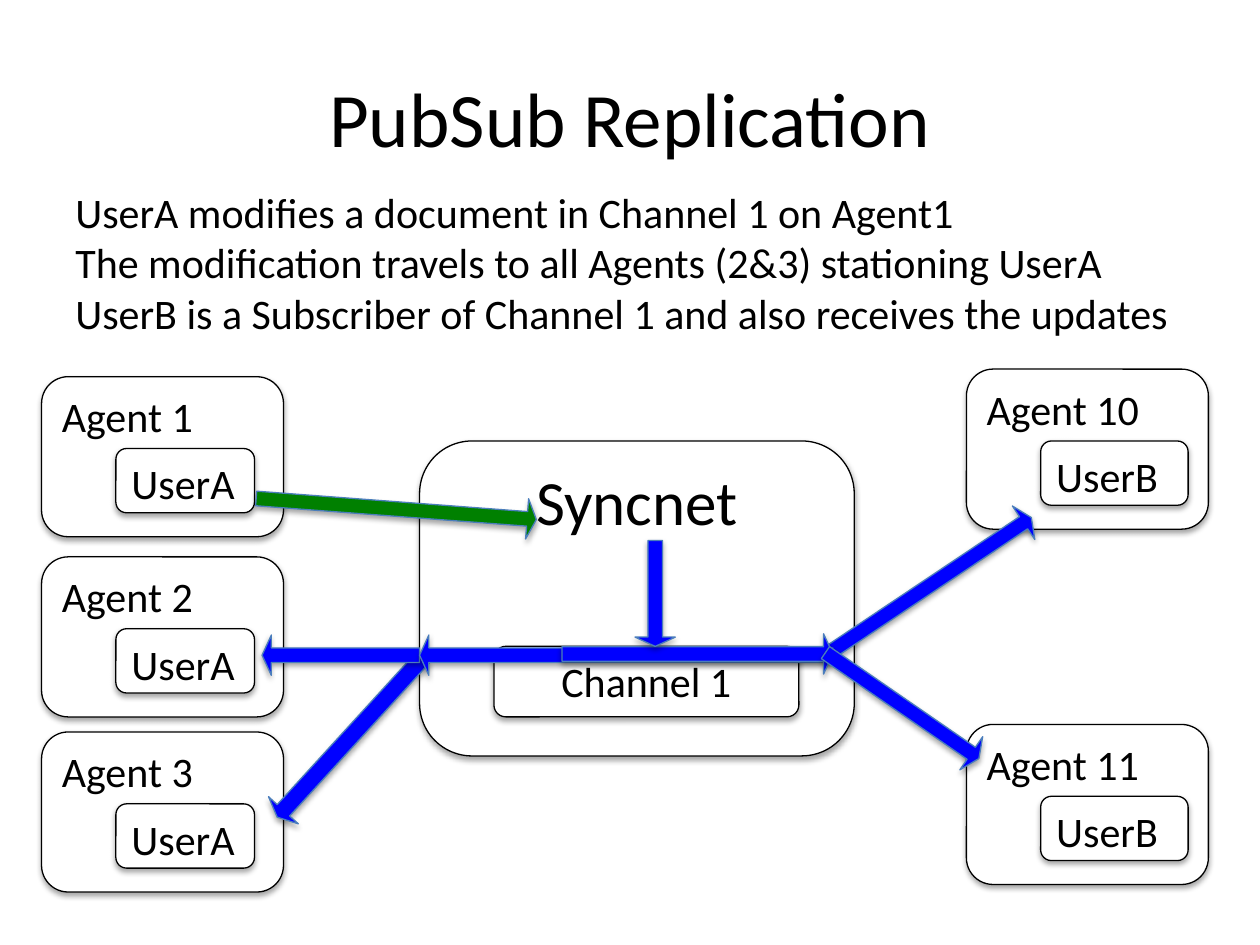
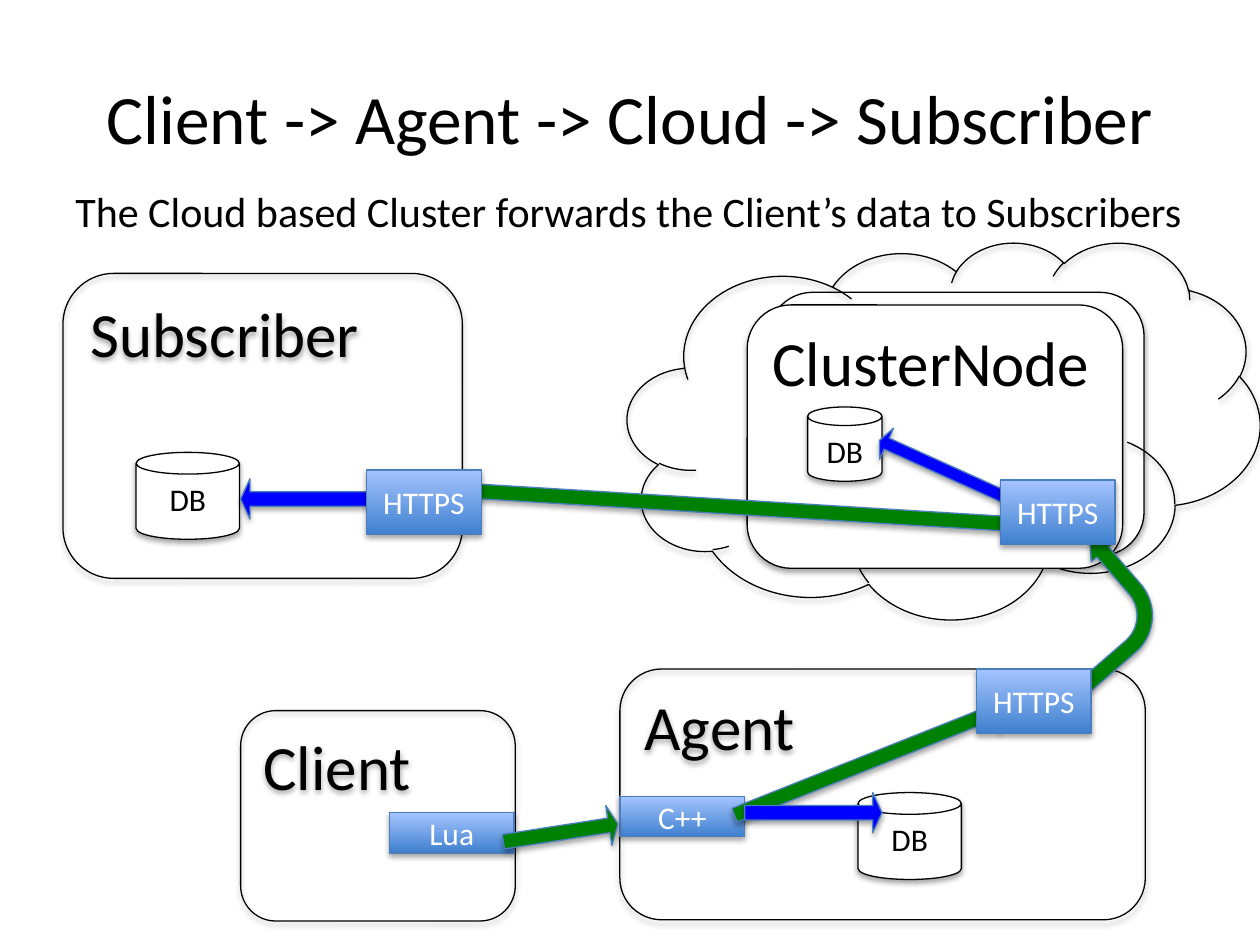
import pptx
import pptx.dml.color
import pptx.enum.shapes
import pptx.enum.text
import pptx.oxml
import pptx.oxml.ns
import pptx.util
from pptx.util import Inches

SHAPE = pptx.enum.shapes.MSO_SHAPE
ALIGN = pptx.enum.text.PP_ALIGN
ANCHOR = pptx.enum.text.MSO_ANCHOR
COLORS = {
    "ink": "000000",
    "paper": "FFFFFF",
    "edge": "4B7EBC",
    "publish": "008000",
    "deliver": "0000FF",
    "port_dark": "3F80CE",
    "port_light": "A4C4FF",
}
SHADOW = (
    '<a:outerShdw %s blurRad="40000" dist="23000" dir="5400000" rotWithShape="0">'
    '<a:srgbClr val="%s"><a:alpha val="35000"/></a:srgbClr></a:outerShdw>'
    % (pptx.oxml.ns.nsdecls("a"), COLORS["ink"])
)


def rgb(name):
    return pptx.dml.color.RGBColor.from_string(COLORS[name])


class Diagram:
    font = "Calibri"
    body_size = 24
    heading_size = 36
    label_size = 18
    line_width = 0.75

    def __init__(self, deck):
        self.deck = deck
        self.slide = None

    def start(self, title, size=44):
        self.slide = self.deck.slides.add_slide(self.deck.slide_layouts[5])
        heading = self.slide.shapes.title
        heading.left, heading.top = Inches(0.5), Inches(0.3)
        heading.width, heading.height = Inches(9), Inches(1.25)
        heading.text_frame.vertical_anchor = ANCHOR.MIDDLE
        self.set_text(heading.text_frame, title, size, align=ALIGN.CENTER)

    def set_text(self, frame, text, size, color="ink", align=ALIGN.LEFT):
        frame.text = text
        frame.word_wrap = True
        for paragraph in frame.paragraphs:
            paragraph.alignment = align
            for run in paragraph.runs:
                run.font.name = self.font
                run.font.size = pptx.util.Pt(size)
                run.font.color.rgb = rgb(color)

    def statement(self, lines, top, height):
        box = self.slide.shapes.add_textbox(
            Inches(0.5), Inches(top), Inches(9.17), Inches(height))
        self.set_text(box.text_frame, "\n".join(lines), self.body_size)
        box.text_frame.auto_size = pptx.enum.text.MSO_AUTO_SIZE.SHAPE_TO_FIT_TEXT

    def outline(self, kind, left, top, width, height, fill="paper", line="ink"):
        shape = self.slide.shapes.add_shape(
            kind, Inches(left), Inches(top), Inches(width), Inches(height))
        if fill:
            shape.fill.solid()
            shape.fill.fore_color.rgb = rgb(fill)
        else:
            shape.fill.background()
        shape.line.color.rgb = rgb(line)
        shape.line.width = pptx.util.Pt(self.line_width)
        shape.shadow.inherit = False
        effects = shape._element.spPr.find(pptx.oxml.ns.qn("a:effectLst"))
        effects.append(pptx.oxml.parse_xml(SHADOW))
        return shape

    def container(self, text, left, top, width, height,
                  size=heading_size, align=ALIGN.LEFT, fill="paper"):
        box = self.outline(SHAPE.ROUNDED_RECTANGLE, left, top, width, height, fill)
        box.text_frame.vertical_anchor = ANCHOR.TOP
        if text:
            self.set_text(box.text_frame, text, size, align=align)

    def agent(self, name, user, left, top, user_width):
        self.container(name, left, top, 1.92, 1.27, self.body_size)
        self.container(user, left + 0.59, top + 0.57, user_width, 0.51, self.body_size)

    def database(self, left, top, width=0.82, height=0.69):
        can = self.outline(SHAPE.CAN, left, top, width, height)
        can.text_frame.vertical_anchor = ANCHOR.TOP
        self.set_text(can.text_frame, "DB", self.label_size, align=ALIGN.CENTER)

    def port(self, text, left, top, width=0.91, height=0.51):
        block = self.outline(SHAPE.RECTANGLE, left, top, width, height, line="edge")
        block.fill.gradient()
        block.fill.gradient_angle = 90
        for stop, color in zip(block.fill.gradient_stops, ("port_dark", "port_light")):
            stop.color.rgb = rgb(color)
        block.text_frame.vertical_anchor = ANCHOR.MIDDLE
        self.set_text(block.text_frame, text, self.label_size, "paper", ALIGN.CENTER)

    def arrow(self, color, left, top, length, angle=0, height=0.32, shaft=0.361):
        arrow = self.outline(
            SHAPE.RIGHT_ARROW, left, top, length, height, color, "edge")
        arrow.adjustments[0], arrow.adjustments[1] = shaft, 0.229
        arrow.rotation = angle

    def bent_arrow(self, color, left, top, width, height, angle, bends):
        arrow = self.outline(SHAPE.BENT_ARROW, left, top, width, height, color, "edge")
        for index, bend in enumerate(bends):
            arrow.adjustments[index] = bend
        arrow.rotation = angle
        arrow._element.spPr.xfrm.set("flipH", "1")


def build_replication(diagram):
    diagram.start("PubSub Replication")
    diagram.container("Syncnet", 3.33, 3.5, 3.45, 2.5, align=ALIGN.CENTER)
    diagram.container("Channel 1", 3.92, 5.13, 2.42, 0.56,
                      diagram.body_size, ALIGN.CENTER)
    for number, top in ((1, 2.99), (2, 4.42), (3, 5.81)):
        diagram.agent(f"Agent {number}", "UserA", 0.33, top, 1.1)
    for number, top in ((10, 2.93), (11, 5.75)):
        diagram.agent(f"Agent {number}", "UserB", 7.67, top, 1.17)
    diagram.arrow("publish", 2.03, 3.88, 2.23, 4.3)
    diagram.arrow("deliver", 6.4, 4.49, 1.95, 326.2)
    diagram.arrow("deliver", 1.92, 5.69, 1.72, 132.4, shaft=0.417)
    for left, top, length, angle in (
        (2.08, 5.04, 1.25, 180),
        (3.33, 5.04, 3.28, 180),
        (4.46, 5.03, 2.15, 0),
        (6.42, 5.44, 1.48, 34.6),
        (4.78, 4.55, 0.84, 90),
    ):
        diagram.arrow("deliver", left, top, length, angle)
    diagram.statement((
        "UserA modifies a document in Channel 1 on Agent1",
        "The modification travels to all Agents (2&3) stationing UserA",
        "UserB is a Subscriber of Channel 1 and also receives the updates",
    ), 1.43, 1.31)


def build_forwarding(diagram):
    diagram.start("Client -> Agent -> Cloud -> Subscriber", 39.6)
    diagram.container("", 6.1, 2.32, 2.98, 2.09)
    diagram.outline(SHAPE.CLOUD, 4.98, 1.92, 5.02, 2.99, fill=None)

    diagram.container("Agent", 4.92, 5.31, 4.17, 1.99, fill=None)
    diagram.database(6.81, 6.29)
    diagram.port("C++", 4.92, 6.32, 0.99, 0.32)
    diagram.container("Client", 1.91, 5.64, 2.18, 1.67, fill=None)
    diagram.port("Lua", 3.09, 6.45, 0.99, 0.32)
    diagram.arrow("publish", 3.99, 6.45, 0.92, 351.2)
    diagram.arrow("publish", 5.75, 5.89, 2.27, 338.3)
    diagram.arrow("deliver", 5.91, 6.29, 1.09)

    diagram.container("ClusterNode", 5.93, 2.42, 2.98, 2.09)
    diagram.database(6.41, 3.23, 0.59, 0.59)
    diagram.arrow("deliver", 6.92, 3.64, 1.36, 204.3, height=0.27)
    diagram.bent_arrow("publish", 8.24, 4.38, 0.93, 0.9, 49.1,
                       (0.136, 0.133, 0.173, 0.427))

    diagram.container("Subscriber", 0.5, 2.17, 3.17, 2.42, fill=None)
    diagram.database(1.08, 3.59)
    diagram.arrow("publish", 3.66, 3.87, 4.54, 183.5)
    diagram.arrow("deliver", 1.91, 3.8, 1.17, 180)
    diagram.statement(
        ("The Cloud based Cluster forwards the Client’s data to Subscribers",),
        1.42, 0.5)
    for left, top in ((2.91, 3.73), (7.94, 3.81), (7.75, 5.31)):
        diagram.port("HTTPS", left, top)


def main():
    deck = pptx.Presentation()
    deck.slide_width, deck.slide_height = Inches(10), Inches(7.5)
    diagram = Diagram(deck)
    build_replication(diagram)
    build_forwarding(diagram)
    deck.save("out.pptx")


if __name__ == "__main__":
    main()
